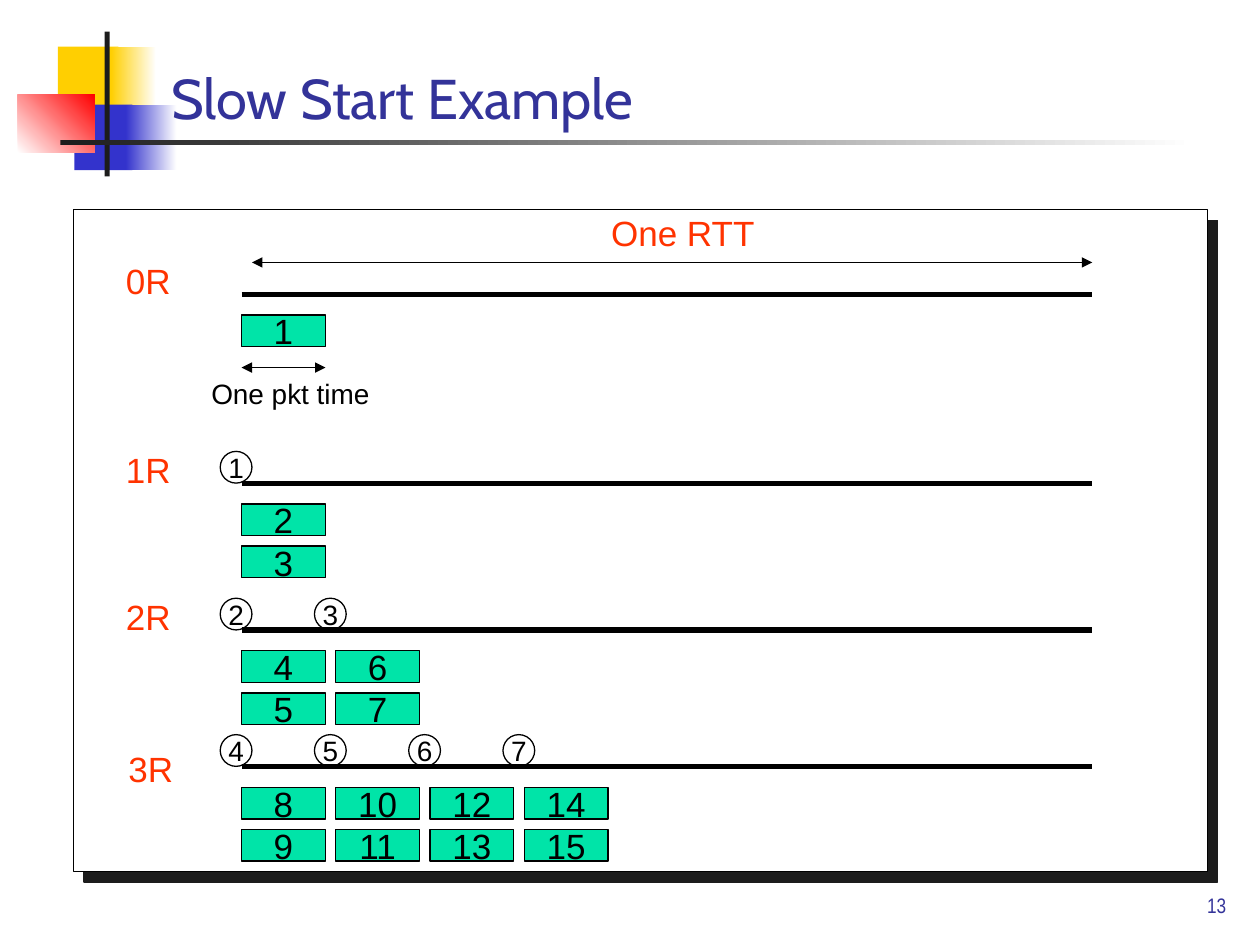
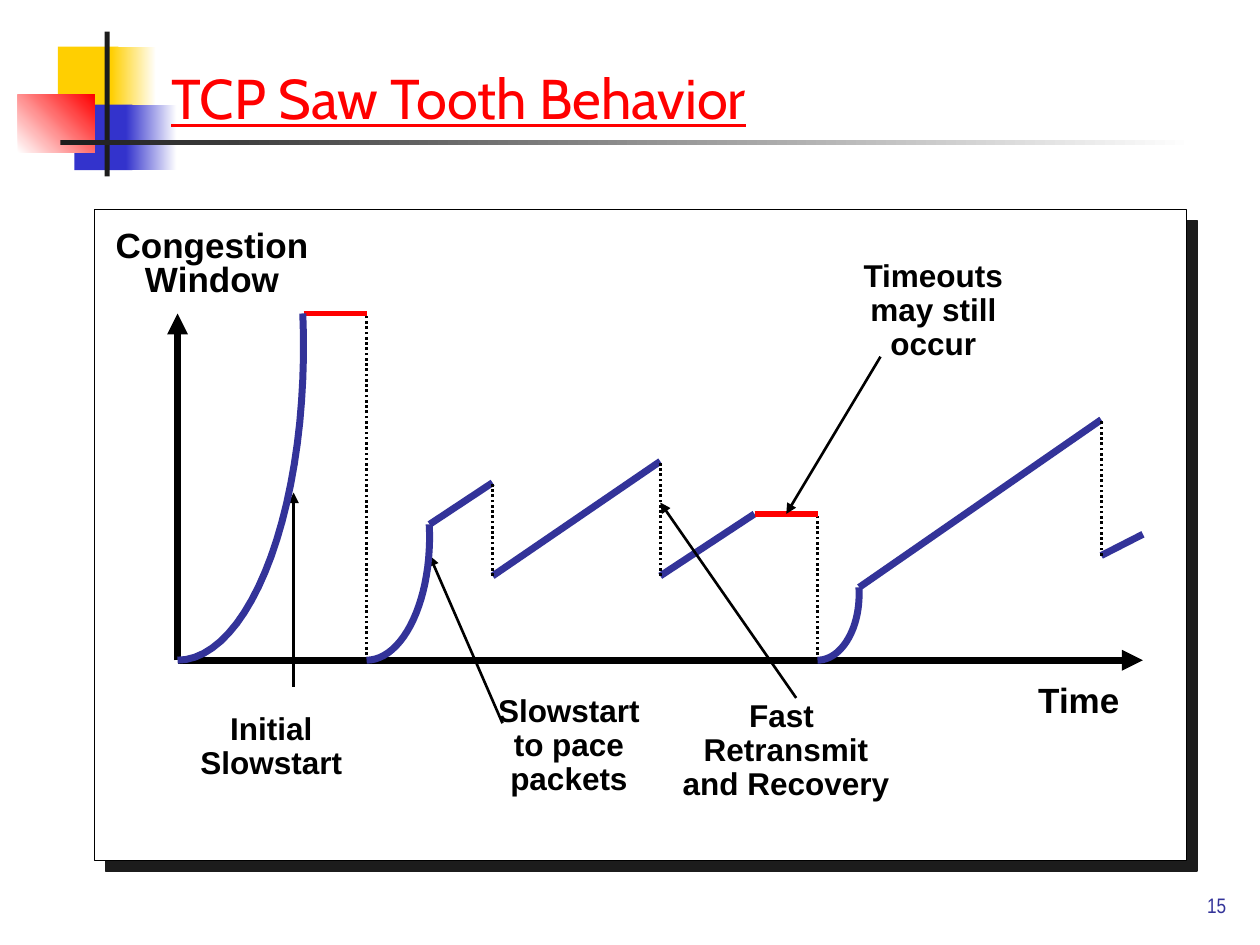
from math import cos, radians, sin

from lxml.etree import SubElement
from pptx import Presentation
from pptx.dml.color import RGBColor
from pptx.enum.dml import MSO_LINE
from pptx.enum.shapes import MSO_CONNECTOR, MSO_SHAPE as Kind
from pptx.enum.text import MSO_ANCHOR as Anchor, PP_ALIGN as Align
from pptx.oxml.ns import qn
from pptx.util import Cm, Pt

BLACK, WHITE, DARK = "000000", "FFFFFF", "1C1C1C"
NAVY, RED, ORANGE, GREEN = "333399", "FF0000", "FF3300", "00E4A8"

# All places are left, top, width, height in cm.
# Band parts: place, colours (two make a gradient), angle
BAND = [
    ((1.17, 0.94, 1.22, 1.32), ("FFCF01",), 0),
    ((2.24, 0.94, 0.91, 1.32), ("FFCF01", WHITE), 0),
    ((1.5, 2.11, 1.17, 1.32), ("3333CC",), 0),
    ((2.54, 2.11, 1.02, 1.32), ("3333CC", WHITE), 0),
    ((0.36, 1.91, 1.55, 1.17), (WHITE, RED), 45),
    ((2.11, 0.64, 0.1, 2.92), (DARK,), 0),
    ((1.22, 2.82, 22.86, 0.1), (DARK, WHITE), 0),
]

# Rounds of slow start: label, label left, label top, line height
ROUNDS = [
    ("0R", 2.29, 5.11, 5.93),
    ("1R", 2.29, 8.92, 9.74),
    ("2R", 2.29, 11.89, 12.7),
    ("3R", 2.34, 14.94, 15.45),
]
LEFT, RIGHT = 4.87, 22.02
STEP, ROW = 1.9, 0.85
PKT_W, PKT_H, ACK = 1.69, 0.64, 0.64

# Saw tooth: key places on the two axes
BASE, PEAK, START, END = 13.31, 6.32, 3.58, 23.04
ARCS = [  # left, right, top
    (START, 6.12, PEAK),
    (7.39, 8.66, 10.57),
    (16.48, 17.32, 11.84),
]
CLIMBS = [  # from x, y to x, y
    (8.66, 10.57, 9.93, 9.73),
    (9.93, 11.61, 13.31, 9.3),
    (13.31, 11.61, 15.21, 10.36),
    (17.32, 11.84, 22.2, 8.46),
    (22.2, 11.2, END, 10.77),
]
STALLS = [(6.12, 7.39, PEAK), (15.21, 16.48, 10.36)]  # left, right, height
DROPS = [  # x, top, bottom
    (7.39, PEAK, BASE),
    (9.93, 9.73, 11.61),
    (13.31, 9.3, 11.61),
    (16.48, 10.36, BASE),
    (22.2, 8.46, 11.2),
]
NOTES = [  # text, place, arrow from x, y to x, y
    ("Initial\nSlowstart", (3.78, 14.25, 3.38, 1.63), (5.92, 13.84, 5.92, 9.93)),
    ("Fast \nRetransmit\nand Recovery", (13.51, 14, 4.67, 2.31),
     (16.05, 14.07, 13.31, 10.13)),
    ("Slowstart\nto pace\npackets", (9.78, 13.89, 3.38, 2.31),
     (10.13, 14.58, 8.66, 11.2)),
    ("Timeouts\nmay still\noccur", (17.15, 5.13, 3.33, 2.31),
     (17.75, 7.19, 15.85, 10.36)),
]


def rgb(code):
    return RGBColor.from_string(code)


def style(frame, text, size, color=BLACK, font="Arial", bold=False,
          line=False, align=Align.LEFT, gap=None):
    """Fill a text frame and format all its runs."""
    frame.text = text
    for par in frame.paragraphs:
        par.alignment = align
        if gap:
            par.line_spacing = gap
        for run in par.runs:
            run.font.size, run.font.name = Pt(size), font
            run.font.bold, run.font.underline = bold, line
            run.font.color.rgb = rgb(color)


def label(slide, place, text, size, wrap=False, anchor=Anchor.TOP, **look):
    frame = slide.shapes.add_textbox(*map(Cm, place)).text_frame
    frame.word_wrap, frame.vertical_anchor = wrap, anchor
    style(frame, text, size, **look)


def block(slide, place, fill=None, edge=None, kind=Kind.RECTANGLE):
    shape = slide.shapes.add_shape(kind, *map(Cm, place))
    shape.shadow.inherit = False
    if fill:
        shape.fill.solid()
        shape.fill.fore_color.rgb = rgb(fill)
    else:
        shape.fill.background()
    if edge:
        shape.line.color.rgb = rgb(edge)
        shape.line.width = Pt(0.75)
    else:
        shape.line.fill.background()
    return shape


def token(slide, place, number, size, **look):
    """Draw a numbered packet or acknowledgement."""
    frame = block(slide, place, edge=BLACK, **look).text_frame
    frame.margin_left = frame.margin_right = 0
    frame.margin_top = frame.margin_bottom = 0
    frame.word_wrap, frame.vertical_anchor = False, Anchor.MIDDLE
    style(frame, str(number), size, align=Align.CENTER)


def stroke(slide, ends, color=BLACK, width=0.75, dots=False, tips=()):
    """Draw a straight line; tips names the ends that get an arrowhead."""
    link = slide.shapes.add_connector(MSO_CONNECTOR.STRAIGHT, *map(Cm, ends))
    link.line.color.rgb = rgb(color)
    link.line.width = Pt(width)
    if dots:
        link.line.dash_style = MSO_LINE.ROUND_DOT
    props = link._element.spPr
    for tip in tips:
        SubElement(props.find(qn("a:ln")), qn(f"a:{tip}End"), type="triangle")
    SubElement(props, qn("a:effectLst"))


def arc(slide, left, right, top):
    """Draw an elliptic rise from the base that ends just past the vertical."""
    last = 96
    tall = (BASE - top) / (1 - cos(radians(last)))
    dots = []
    for deg in range(0, last + 1, 4):
        turn = radians(deg)
        dots.append((Cm(left + (right - left) * sin(turn)),
                     Cm(BASE - tall * (1 - cos(turn)))))
    path = slide.shapes.build_freeform(*dots[0])
    path.add_line_segments(dots[1:], close=False)
    shape = path.convert_to_shape()
    shape.shadow.inherit = False
    shape.fill.background()
    shape.line.color.rgb = rgb(NAVY)
    shape.line.width = Pt(4)


def panel(slide, place):
    """Draw the white frame with its hard shadow."""
    shape = block(slide, place, WHITE, BLACK)
    effects = shape._element.spPr.find(qn("a:effectLst"))
    cast = SubElement(effects, qn("a:outerShdw"), dist=str(Pt(8.5)),
                      dir="2700000", algn="ctr", rotWithShape="0")
    SubElement(cast, qn("a:srgbClr"), val=DARK)


def base(deck, title, number, **look):
    """Add a slide with the shared band, title and page number."""
    slide = deck.slides.add_slide(deck.slide_layouts[6])
    for place, tones, angle in BAND:
        shape = block(slide, place, tones[0])
        if len(tones) == 2:
            shape.fill.gradient()
            shape.fill.gradient_angle = angle
            for stop, tone in zip(shape.fill.gradient_stops, tones):
                stop.color.rgb = rgb(tone)
    label(slide, (19.69, 17.35, 5.28, 1.27), str(number), 12, True,
          Anchor.BOTTOM, color=NAVY, font="Arial Narrow", align=Align.RIGHT)
    label(slide, (3.2, 0.81, 21.64, 1.96), title, 32, True, Anchor.BOTTOM,
          font="Cabin", **look)
    return slide


def rounds(deck):
    slide = base(deck, "Slow Start Example", 13, color=NAVY)
    panel(slide, (1.48, 4.23, 22.86, 13.34))
    both = ("head", "tail")
    label(slide, (12.07, 4.14, 3.4, 1.09), "One RTT", 20, color=ORANGE)
    stroke(slide, (5.08, 5.29, RIGHT, 5.29), tips=both)
    stroke(slide, (LEFT, 7.41, LEFT + PKT_W, 7.41), tips=both)
    label(slide, (4.01, 7.47, 3.71, 0.94), "One pkt time", 16)

    for turn, (name, left, top, level) in enumerate(ROUNDS):
        label(slide, (left, top, 1.42, 1.09), name, 20, color=ORANGE)
        stroke(slide, (LEFT, level, RIGHT, level), width=3)
        first = 2 ** turn
        for i in range(first):
            col, row = divmod(i, 2)
            place = (LEFT + col * STEP, level + 0.42 + row * ROW, PKT_W, PKT_H)
            token(slide, place, first + i, 20, fill=GREEN)
        for i in range(first // 2):
            place = (4.44 + i * STEP, level - ACK, ACK, ACK)
            token(slide, place, first // 2 + i, 16, kind=Kind.OVAL)


def saw(deck):
    slide = base(deck, "TCP Saw Tooth Behavior", 15, color=RED, line=True)
    panel(slide, (1.91, 4.23, 22.01, 13.12))
    for ends in ((START, BASE, START, PEAK), (START, BASE, END, BASE)):
        stroke(slide, ends, width=4, tips=("tail",))
    label(slide, (20.68, 13.56, 2.16, 1.09), "Time", 20, bold=True)
    label(slide, (2.08, 4.55, 4.39, 1.63), "Congestion\nWindow", 20,
          bold=True, align=Align.CENTER, gap=0.8)
    for ends in CLIMBS:
        stroke(slide, ends, NAVY, 4)
    for x, top, bottom in DROPS:
        stroke(slide, (x, bottom, x, top), width=1.5, dots=True)
    for left, right, level in STALLS:
        stroke(slide, (left, level, right, level), RED, 3)
    for text, place, arrow in NOTES:
        label(slide, place, text, 18, bold=True, align=Align.CENTER, gap=0.9)
        stroke(slide, arrow, width=1.5, tips=("tail",))
    for rise in ARCS:
        arc(slide, *rise)


def main():
    deck = Presentation()
    deck.slide_width, deck.slide_height = Cm(25.4), Cm(19.05)
    rounds(deck)
    saw(deck)
    deck.save("out.pptx")


if __name__ == "__main__":
    main()
